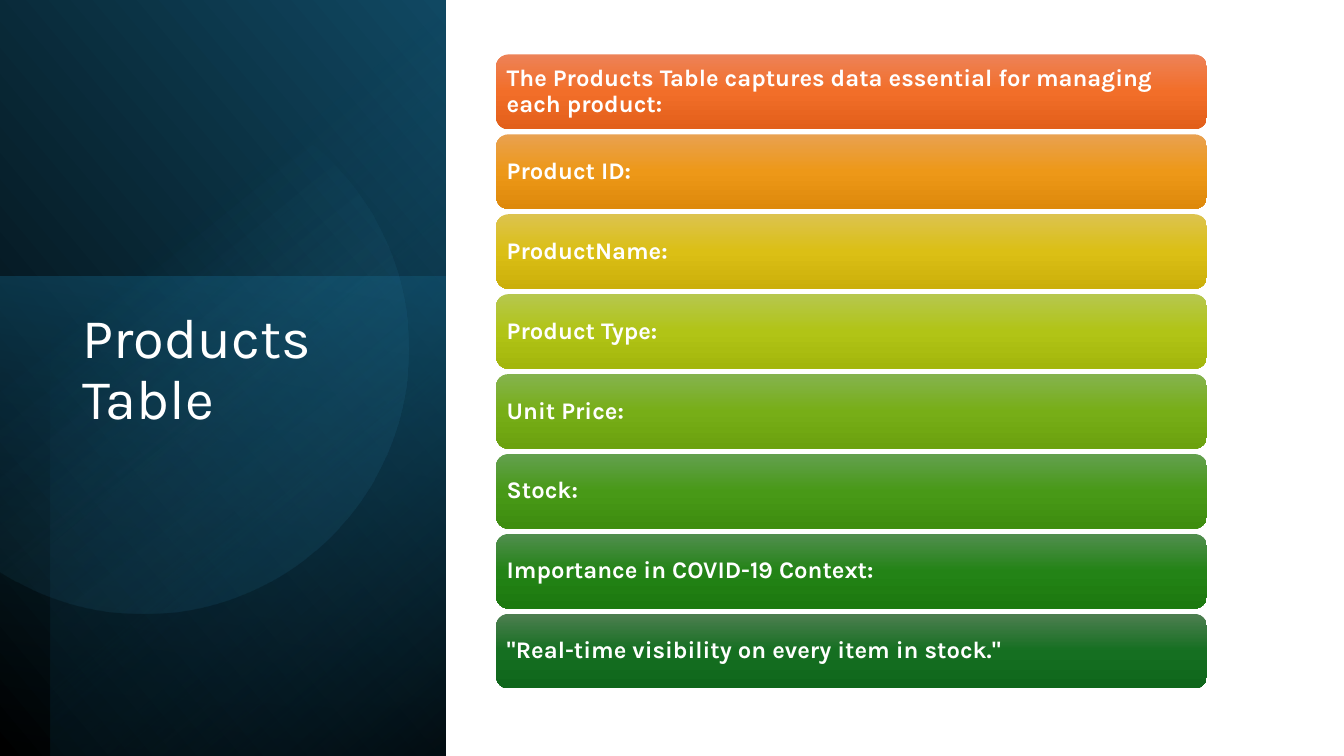
import math
from dataclasses import dataclass

from lxml import etree
from pptx import Presentation
from pptx.dml.color import RGBColor
from pptx.enum import shapes, text
from pptx.oxml import ns
from pptx.util import Inches, Pt

FONT = "Karla"
COLORS = {"white": "FFFFFF", "black": "000000", "navy": "104862",
          "teal": "156082", "deep": "0B3041", "sky": "46B1E1"}


@dataclass
class Stop:
    position: int
    color: str
    opacity: int = 100


@dataclass
class Panel:
    left: float
    top: float
    width: float
    height: float
    rotation: float
    flipped: bool
    angle: int
    stops: list[Stop]


@dataclass
class Bar:
    label: str
    colors: tuple[str, str, str]


PANELS = [
    Panel(-1.55, 1.55, 7.52, 4.42, 90, True, 310,
          [Stop(0, COLORS["black"]), Stop(100, COLORS["navy"])]),
    Panel(-0.17, 2.91, 4.76, 4.42, 270, False, 190,
          [Stop(0, COLORS["teal"], 50), Stop(100, COLORS["deep"], 0)]),
    Panel(-1.29, 1.79, 7.5, 3.92, 270, True, 220,
          [Stop(0, COLORS["black"], 59), Stop(69, COLORS["teal"], 0)]),
]

BARS = [
    Bar("The Products Table captures data essential for managing each product:",
        ("ED8257", "F26E29", "E25F1A")),
    Bar("Product ID:", ("E9A150", "ED9818", "DE890B")),
    Bar("ProductName:", ("DCC34E", "DBBF15", "CBAF0A")),
    Bar("Product Type:", ("B6C74E", "B1C416", "A3B60C")),
    Bar("Unit Price:", ("85B34E", "77AE17", "6BA10E")),
    Bar("Stock:", ("63A04E", "489917", "3E8D0F")),
    Bar("Importance in COVID-19 Context:", ("518E4E", "238316", "1C790F")),
    Bar('"Real-time visibility on every item in stock."',
        ("4D7E50", "156F21", "0F661B")),
]
BAR_TOP, BAR_PITCH = 0.54, 5.55 / 7


def fill_gradient(shape, stops: list[Stop], angle: int) -> None:
    """Give a shape a linear gradient with opacity, and no line or shadow."""
    shape.shadow.inherit = False
    shape.line.fill.background()
    shape.fill.background()
    gradient = etree.Element(ns.qn("a:gradFill"), rotWithShape="1")
    stop_list = etree.SubElement(gradient, ns.qn("a:gsLst"))
    for stop in stops:
        item = etree.SubElement(stop_list, ns.qn("a:gs"), pos=str(stop.position * 1000))
        color = etree.SubElement(item, ns.qn("a:srgbClr"), val=stop.color)
        if stop.opacity < 100:
            etree.SubElement(color, ns.qn("a:alpha"), val=str(stop.opacity * 1000))
    etree.SubElement(gradient, ns.qn("a:lin"), ang=str(angle * 60000), scaled="0")
    properties = shape.element.spPr
    properties.replace(properties.find(ns.qn("a:noFill")), gradient)


def format_text(frame, content: str, size: int, bold: bool) -> None:
    frame.word_wrap = True
    frame.auto_size = text.MSO_AUTO_SIZE.NONE
    frame.text = content
    paragraph = frame.paragraphs[0]
    paragraph.alignment = text.PP_ALIGN.LEFT
    paragraph.line_spacing = 0.9
    paragraph.font.name = FONT
    paragraph.font.size = Pt(size)
    paragraph.font.bold = bold
    paragraph.font.color.rgb = RGBColor.from_string(COLORS["white"])


def add_panel(slide, panel: Panel) -> None:
    shape = slide.shapes.add_shape(
        shapes.MSO_SHAPE.RECTANGLE, Inches(panel.left), Inches(panel.top),
        Inches(panel.width), Inches(panel.height))
    shape.rotation = panel.rotation
    if panel.flipped:
        shape.element.spPr.xfrm.set("flipH", "1")
    fill_gradient(shape, panel.stops, panel.angle)


def add_clipped_circle(slide) -> None:
    """Draw the large circle, cut by the slide's left edge once rotated."""
    center_x, center_y, radius = 1.81, 3.93, 2.63
    rotation, half_arc, steps = 101.6, 122.9, 120
    angles = [math.radians(-half_arc - rotation + 2 * half_arc * step / steps)
              for step in range(steps + 1)]
    points = [(Inches(center_x + radius * math.cos(angle)),
               Inches(center_y + radius * math.sin(angle))) for angle in angles]
    builder = slide.shapes.build_freeform(*points[0])
    builder.add_line_segments(points[1:], close=True)
    circle = builder.convert_to_shape()
    circle.rotation = rotation
    fill_gradient(circle, [Stop(39, COLORS["sky"], 0), Stop(100, COLORS["navy"], 26)], 310)


def place_title(slide) -> None:
    title = slide.shapes.title
    title.left, title.top = Inches(0.72), Inches(3.03)
    title.width, title.height = Inches(3.15), Inches(3.36)
    title.text_frame.vertical_anchor = text.MSO_ANCHOR.TOP
    format_text(title.text_frame, "Products Table", 40, False)
    title.element.getparent().append(title.element)


def add_bar(slide, bar: Bar, top: float) -> None:
    shape = slide.shapes.add_shape(
        shapes.MSO_SHAPE.ROUNDED_RECTANGLE, Inches(4.92), Inches(top),
        Inches(7.05), Inches(0.74))
    fill_gradient(shape, [Stop(position, color) for position, color
                          in zip((0, 50, 100), bar.colors)], 90)
    frame = shape.text_frame
    frame.margin_left = frame.margin_right = Inches(0.07)
    frame.margin_top = frame.margin_bottom = Inches(0.07)
    frame.vertical_anchor = text.MSO_ANCHOR.MIDDLE
    format_text(frame, bar.label, 17, True)


def main() -> None:
    presentation = Presentation()
    presentation.slide_width, presentation.slide_height = Inches(13.33), Inches(7.5)
    slide = presentation.slides.add_slide(presentation.slide_layouts[5])
    for panel in PANELS:
        add_panel(slide, panel)
    add_clipped_circle(slide)
    place_title(slide)
    for index, bar in enumerate(BARS):
        add_bar(slide, bar, BAR_TOP + index * BAR_PITCH)
    presentation.save("out.pptx")


if __name__ == "__main__":
    main()
